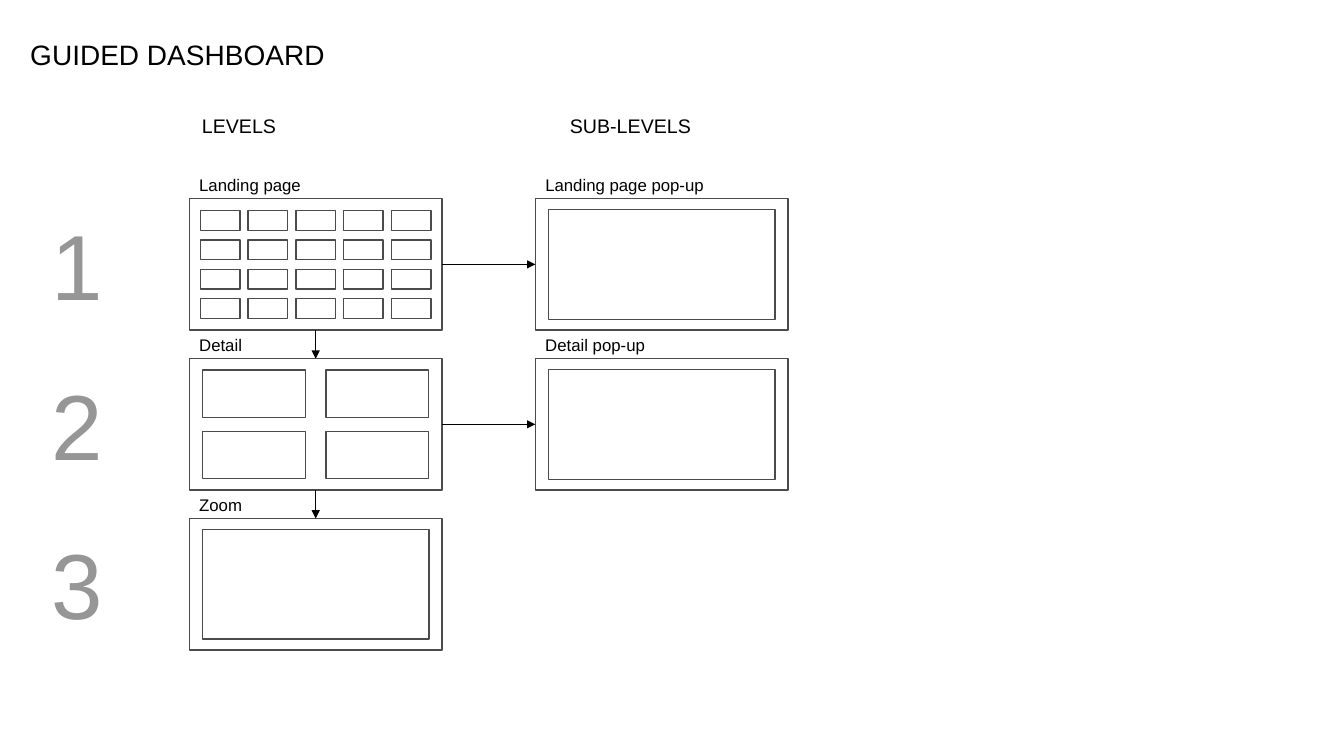
from lxml import etree
from pptx import Presentation
from pptx.dml.color import RGBColor
from pptx.enum.shapes import MSO_CONNECTOR, MSO_SHAPE
from pptx.enum.text import MSO_ANCHOR, MSO_AUTO_SIZE, PP_ALIGN
from pptx.oxml.ns import qn
from pptx.util import Pt

RECTANGLE = MSO_SHAPE.RECTANGLE
STRAIGHT = MSO_CONNECTOR.STRAIGHT
LEFT, CENTER = PP_ALIGN.LEFT, PP_ALIGN.CENTER
MIDDLE = MSO_ANCHOR.MIDDLE
FIT_SHAPE, NO_FIT = MSO_AUTO_SIZE.SHAPE_TO_FIT_TEXT, MSO_AUTO_SIZE.NONE
TOP_SIDE, LEFT_SIDE, BOTTOM_SIDE, RIGHT_SIDE = range(4)

COLORS = {"text": "000000", "number": "969696", "frame": "4B4B4B"}
FONT = "Arial"

PAGE_WIDTH, PAGE_HEIGHT = 180.6, 93.8
LEVEL_LEFT, SUB_LEVEL_LEFT = 135.2, 382.4
FIRST_TOP, ROW_PITCH = 142, 114.2

TILES = (5, 4, 28.3, 14.2, 5.8, 6.8)
QUARTERS = (2, 2, 73.4, 33.9, 14.5, 10)
SINGLE = (1, 1, 162, 78.5, 0, 0)

LEVELS = [("Landing page", 88, TILES), ("Detail", 45.4, QUARTERS), ("Zoom", 45.4, SINGLE)]
SUB_LEVELS = [("Landing page pop-up", 128.2, SINGLE), ("Detail pop-up", 86.4, SINGLE)]


def add_run(paragraph, text, size, color):
    """Append one formatted run to a paragraph."""
    run = paragraph.add_run()
    run.text = text
    run.font.name = FONT
    run.font.size = Pt(size)
    run.font.color.rgb = RGBColor.from_string(COLORS[color])


def add_text(slide, box, text, size, color="text", align=LEFT, wrap=False):
    """Add a text box that holds a single run."""
    shape = slide.shapes.add_textbox(*map(Pt, box))
    frame = shape.text_frame
    frame.word_wrap = wrap
    frame.auto_size = FIT_SHAPE
    paragraph = frame.paragraphs[0]
    paragraph.alignment = align
    add_run(paragraph, text, size, color)


def add_frame(slide, box):
    """Add an unfilled outlined rectangle."""
    shape = slide.shapes.add_shape(RECTANGLE, *map(Pt, box))
    shape.shadow.inherit = False
    shape.fill.background()
    shape.line.color.rgb = RGBColor.from_string(COLORS["frame"])
    shape.line.width = Pt(1)
    return shape


def add_page(slide, box, label, label_width, grid):
    """Add a labelled page outline with a centred grid of panels."""
    left, top, width, height = box
    columns, rows, panel_width, panel_height, gap_x, gap_y = grid
    page = add_frame(slide, box)
    pitch_x, pitch_y = panel_width + gap_x, panel_height + gap_y
    grid_left = left + (width - columns * pitch_x + gap_x) / 2
    grid_top = top + (height - rows * pitch_y + gap_y) / 2
    for column in range(columns):
        for row in range(rows):
            add_frame(slide, (grid_left + column * pitch_x, grid_top + row * pitch_y,
                              panel_width, panel_height))
    add_text(slide, (left, top - 20.6, label_width, 21.8), label, 12)
    return page


def add_column(slide, left, entries):
    """Stack the pages of one column and return their outlines."""
    return [add_page(slide, (left, FIRST_TOP + index * ROW_PITCH, PAGE_WIDTH, PAGE_HEIGHT), *entry)
            for index, entry in enumerate(entries)]


def add_arrow(slide, source, source_side, target, target_side):
    """Join two pages with a thin arrow."""
    connector = slide.shapes.add_connector(STRAIGHT, 0, 0, 0, 0)
    connector.begin_connect(source, source_side)
    connector.end_connect(target, target_side)
    connector.line.color.rgb = RGBColor.from_string(COLORS["text"])
    connector.line.width = Pt(0.5)
    line = connector.line._get_or_add_ln()
    etree.SubElement(line, qn("a:tailEnd"), type="triangle")
    etree.SubElement(connector._element.spPr, qn("a:effectLst"))


def add_title(slide, box, text):
    """Place and format the title placeholder."""
    title = slide.shapes.title
    title.left, title.top, title.width, title.height = map(Pt, box)
    frame = title.text_frame
    frame.auto_size = NO_FIT
    frame.vertical_anchor = MIDDLE
    paragraph = frame.paragraphs[0]
    paragraph.alignment = LEFT
    paragraph.line_spacing = 0.9
    add_run(paragraph, text, 20, "text")


def add_dashboard_slide(presentation):
    """Build the slide with its levels, sub-levels and arrows."""
    slide = presentation.slides.add_slide(presentation.slide_layouts[5])
    add_title(slide, (14.4, 9.4, 762.5, 62), "GUIDED DASHBOARD")
    add_text(slide, (121, 77.8, 99.4, 24.2), "LEVELS", 14, align=CENTER, wrap=True)
    add_text(slide, (SUB_LEVEL_LEFT, 77.8, 136, 24.2), "SUB-LEVELS", 14, align=CENTER, wrap=True)
    for index in range(len(LEVELS)):
        add_text(slide, (29.5, FIRST_TOP + index * ROW_PITCH + 2.9, 51.8, 87.2),
                 str(index + 1), 66, "number")
    levels = add_column(slide, LEVEL_LEFT, LEVELS)
    sub_levels = add_column(slide, SUB_LEVEL_LEFT, SUB_LEVELS)
    for upper, lower in zip(levels, levels[1:]):
        add_arrow(slide, upper, BOTTOM_SIDE, lower, TOP_SIDE)
    for level, sub_level in zip(levels, sub_levels):
        add_arrow(slide, level, RIGHT_SIDE, sub_level, LEFT_SIDE)


def main():
    """Create the presentation and save it."""
    presentation = Presentation()
    presentation.slide_width, presentation.slide_height = Pt(960), Pt(540)
    add_dashboard_slide(presentation)
    presentation.save("out.pptx")


if __name__ == "__main__":
    main()
